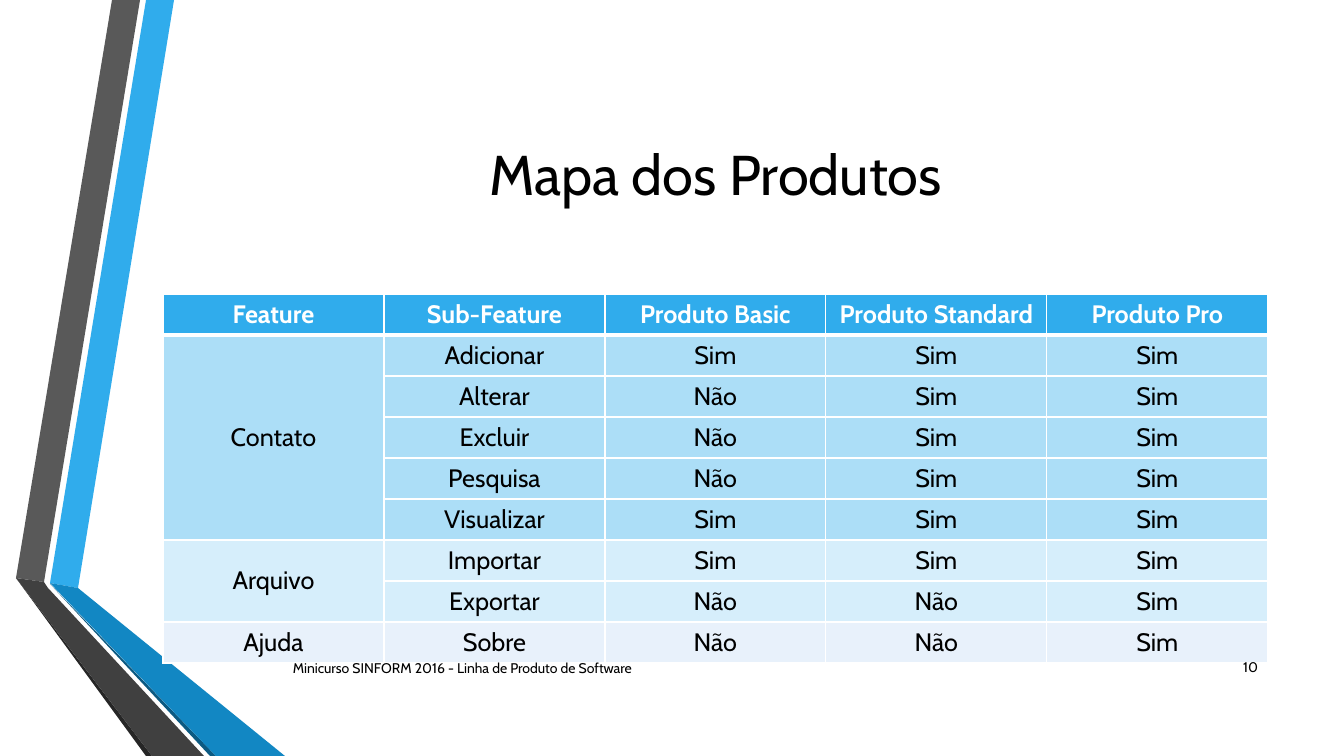
from lxml.etree import SubElement
from pptx import Presentation
from pptx.dml.color import RGBColor
from pptx.enum.text import MSO_ANCHOR, PP_ALIGN
from pptx.oxml.ns import qn
from pptx.util import Emu, Pt

PX = 914400 / 100.8
FONT = "Cabin"
BLACK = RGBColor(0x00, 0x00, 0x00)
WHITE = RGBColor(0xFF, 0xFF, 0xFF)
BLUE = RGBColor(0x30, 0xAC, 0xEC)
BLUE_DEEP = RGBColor(0x12, 0x87, 0xC3)
BLUE_SHADE = RGBColor(0x0C, 0x5A, 0x82)
GRAY = RGBColor(0x59, 0x59, 0x59)
GRAY_DEEP = RGBColor(0x40, 0x40, 0x40)
GRAY_SHADE = RGBColor(0x26, 0x26, 0x26)
CONTATO_FILL = RGBColor(0xAC, 0xDE, 0xF7)
ARQUIVO_FILL = RGBColor(0xD6, 0xEE, 0xFB)
AJUDA_FILL = RGBColor(0xE8, 0xF1, 0xFB)


def px(length):
    return Emu(round(length * PX))


def write(frame, text, size, color, align, bold=False):
    frame.text = text
    paragraph = frame.paragraphs[0]
    paragraph.alignment = align
    for run in paragraph.runs:
        run.font.name = FONT
        run.font.size = Pt(size)
        run.font.bold = bold
        run.font.color.rgb = color


deck = Presentation()
deck.slide_width, deck.slide_height = px(1344), px(756)
slide = deck.slides.add_slide(deck.slide_layouts[6])

ribbons = [
    (BLUE, [(50, 583), (78, 588), (174, 0), (146, 0)]),
    (GRAY, [(140, 0), (112, 0), (16, 578), (44, 582)]),
    (GRAY_SHADE, [(16, 578), (146, 756), (152, 756)]),
    (BLUE_SHADE, [(50, 584), (210, 756), (216, 756)]),
    (BLUE_DEEP, [(50, 583), (216, 756), (285, 756), (78, 588)]),
    (GRAY_DEEP, [(204, 756), (48, 588), (44, 582), (16, 578), (152, 756)]),
]
for color, points in ribbons:
    outline = slide.shapes.build_freeform(*points[0], scale=PX)
    outline.add_line_segments(points[1:], close=True)
    ribbon = outline.convert_to_shape()
    ribbon.shadow.inherit = False
    ribbon.fill.solid()
    ribbon.fill.fore_color.rgb = color
    ribbon.line.fill.background()

header = ["Feature", "Sub-Feature", "Produto Basic", "Produto Standard", "Produto Pro"]
features = [
    ("Contato", CONTATO_FILL, [
        ("Adicionar", "Sim", "Sim", "Sim"),
        ("Alterar", "Não", "Sim", "Sim"),
        ("Excluir", "Não", "Sim", "Sim"),
        ("Pesquisa", "Não", "Sim", "Sim"),
        ("Visualizar", "Sim", "Sim", "Sim"),
    ]),
    ("Arquivo", ARQUIVO_FILL, [
        ("Importar", "Sim", "Sim", "Sim"),
        ("Exportar", "Não", "Não", "Sim"),
    ]),
    ("Ajuda", AJUDA_FILL, [("Sobre", "Não", "Não", "Sim")]),
]
rows = [(BLUE, header)]
spans = []
for feature, fill, subfeatures in features:
    spans.append((len(rows), len(rows) + len(subfeatures) - 1))
    for index, values in enumerate(subfeatures):
        rows.append((fill, [feature if index == 0 else "", *values]))

product_map = slide.shapes.add_table(
    len(rows), len(header), px(163), px(294), px(1105), px(41 * len(rows))
).table
for column in product_map.columns:
    column.width = px(221)
for row_index, (fill, texts) in enumerate(rows):
    product_map.rows[row_index].height = px(41)
    is_header = row_index == 0
    for column_index, text in enumerate(texts):
        cell = product_map.cell(row_index, column_index)
        write(cell.text_frame, text, 18, WHITE if is_header else BLACK,
              PP_ALIGN.CENTER, is_header)
        borders = {"a:lnL": 1, "a:lnR": 1, "a:lnT": 3 if row_index == 1 else 1,
                   "a:lnB": 3 if is_header else 1}
        for side, width in borders.items():
            edge = SubElement(cell._tc.get_or_add_tcPr(), qn(side), w=str(Pt(width)))
            SubElement(SubElement(edge, qn("a:solidFill")), qn("a:srgbClr"), val=str(WHITE))
        cell.fill.solid()
        cell.fill.fore_color.rgb = fill
for first, last in spans:
    if last > first:
        product_map.cell(first, 0).merge(product_map.cell(last, 0))
        product_map.cell(first, 0).vertical_anchor = MSO_ANCHOR.MIDDLE

captions = [
    ("Mapa dos Produtos", 40, PP_ALIGN.CENTER, (163, 76, 1105, 194)),
    ("Minicurso SINFORM 2016 - Linha de Produto de Software", 10, PP_ALIGN.LEFT,
     (283, 648, 781, 40)),
    ("10", 10, PP_ALIGN.RIGHT, (1208, 647, 60, 40)),
]
for text, size, align, box in captions:
    frame = slide.shapes.add_textbox(*map(px, box)).text_frame
    frame.word_wrap = True
    frame.vertical_anchor = MSO_ANCHOR.MIDDLE
    write(frame, text, size, BLACK, align)

deck.save("out.pptx")
